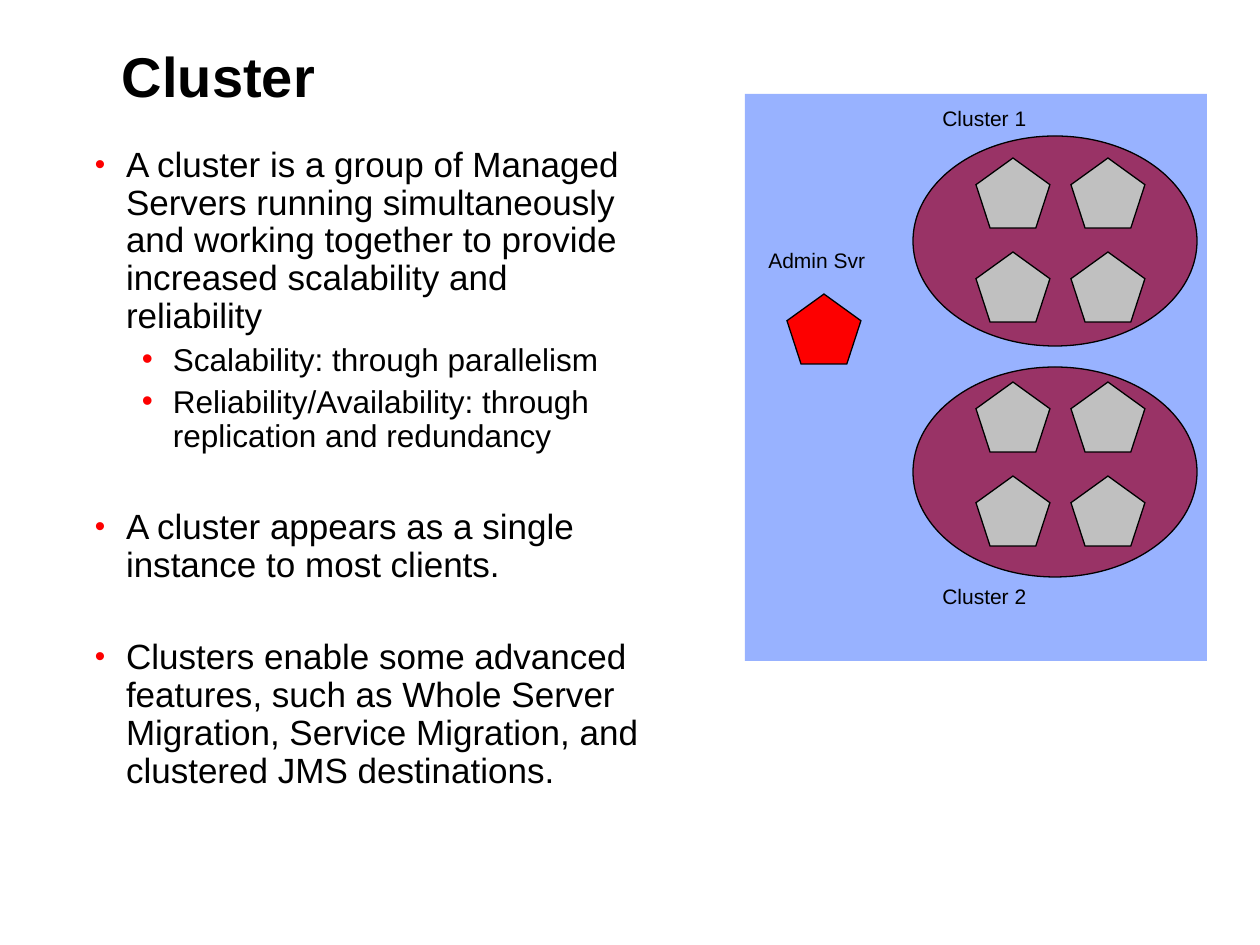
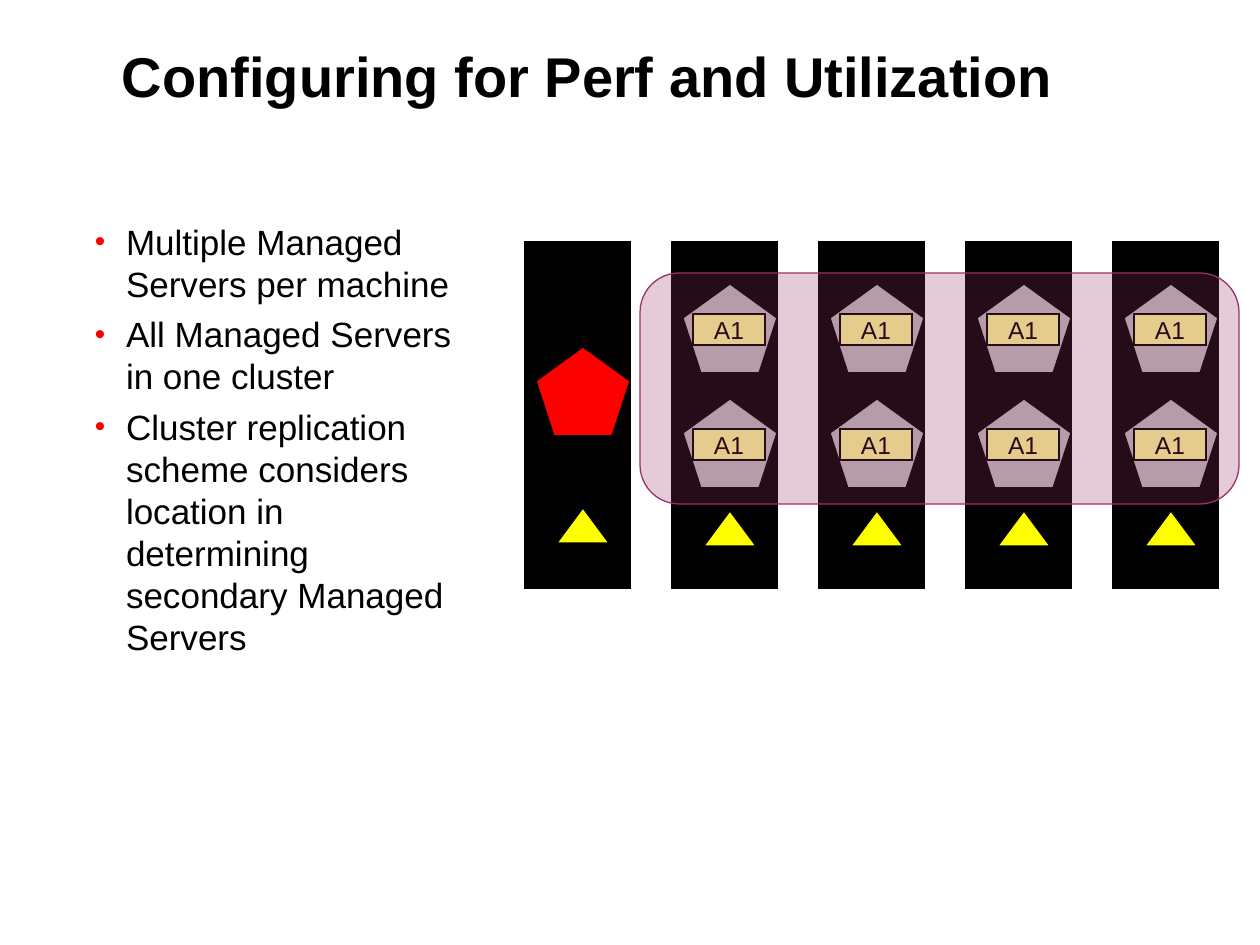
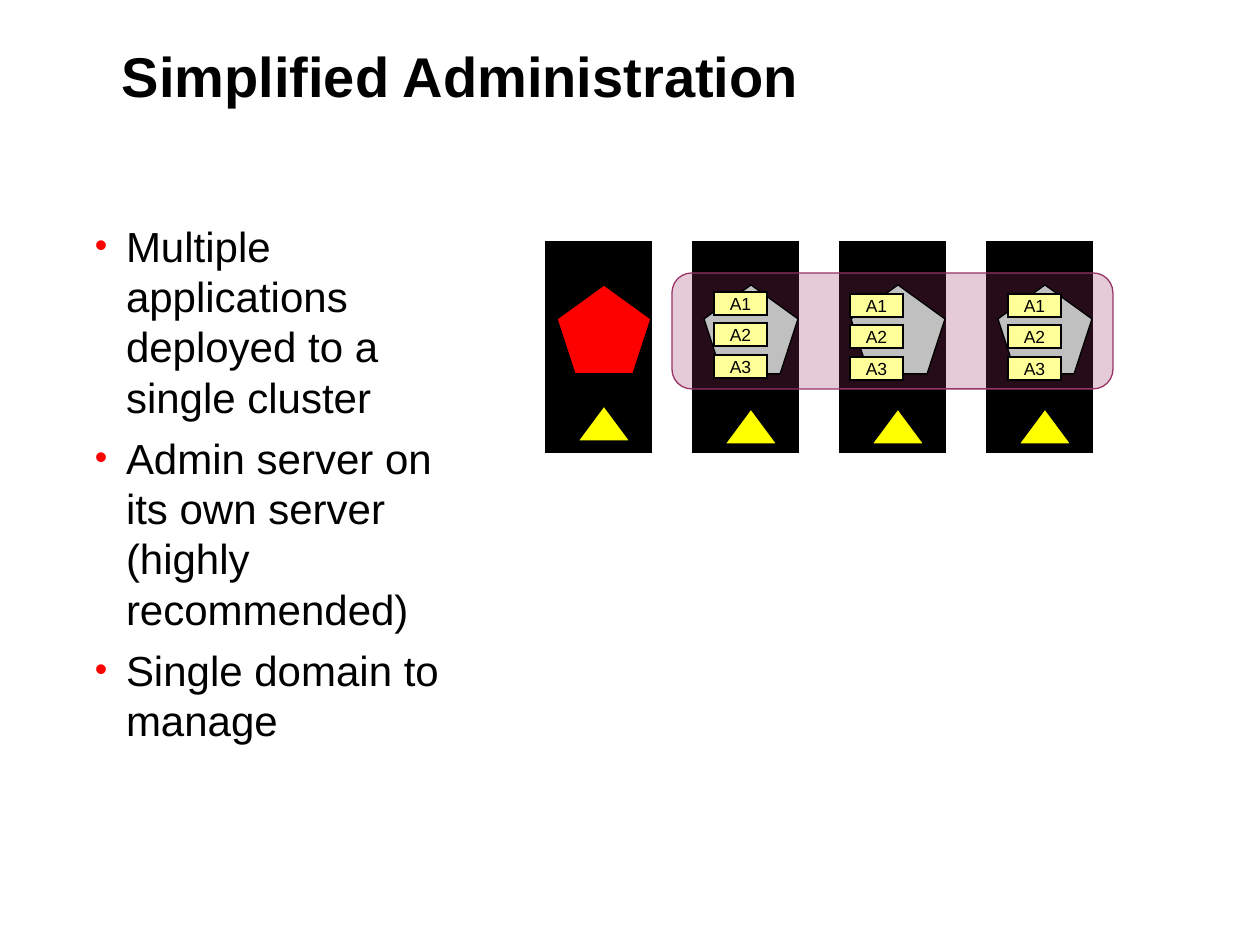
from lxml import etree
from pptx import Presentation
from pptx.dml.color import RGBColor
from pptx.enum.shapes import MSO_SHAPE
from pptx.enum.text import MSO_ANCHOR, MSO_AUTO_SIZE, PP_ALIGN
from pptx.oxml.ns import qn
from pptx.util import Emu, Pt

RECT = MSO_SHAPE.RECTANGLE
ROUND = MSO_SHAPE.ROUNDED_RECTANGLE
OVAL = MSO_SHAPE.OVAL
PENTA = MSO_SHAPE.REGULAR_PENTAGON
WEDGE = MSO_SHAPE.ISOSCELES_TRIANGLE
TOP = MSO_ANCHOR.TOP
MIDDLE = MSO_ANCHOR.MIDDLE
LEFT = PP_ALIGN.LEFT
CENTER = PP_ALIGN.CENTER
NO_FIT = MSO_AUTO_SIZE.NONE

BLACK = RGBColor(0x00, 0x00, 0x00)
RED = RGBColor(0xFD, 0x00, 0x00)
BLUE = RGBColor(0x33, 0x66, 0xFF)
PLUM = RGBColor(0x99, 0x33, 0x66)
GREY = RGBColor(0xC0, 0xC0, 0xC0)
YELLOW = RGBColor(0xFF, 0xFF, 0x00)
CREAM = RGBColor(0xFF, 0xFF, 0x99)

FONT = "Arial"
SCALE = 914400 / 126
PITCH = 147
INDENT = 31
LEVELS = ((31, 85), (78, 100))


def px(n):
    return Emu(round(n * SCALE))


def place(shape, box):
    shape.left, shape.top, shape.width, shape.height = map(px, box)


def write(para, text, size, bold=False):
    run = para.add_run()
    run.text = text
    font = run.font
    font.name = FONT
    font.size = Pt(size)
    font.bold = bold
    font.color.rgb = BLACK


def clear(frame):
    frame.margin_left = frame.margin_top = 0
    frame.margin_right = frame.margin_bottom = 0
    frame.vertical_anchor = TOP
    frame.word_wrap = True
    frame.auto_size = NO_FIT


def fade(shape, percent):
    color = shape.fill._xPr.find(qn("a:solidFill"))[0]
    etree.SubElement(color, qn("a:alpha"), val=str(percent * 1000))


def bullet(para, level):
    margin, percent = LEVELS[level]
    para.level = level
    props = para._p.get_or_add_pPr()
    props.set("marL", str(px(margin)))
    props.set("indent", str(-px(INDENT)))
    color = etree.SubElement(props, qn("a:buClr"))
    etree.SubElement(color, qn("a:srgbClr"), val=str(RED))
    etree.SubElement(props, qn("a:buSzPct"), val=str(percent * 1000))
    etree.SubElement(props, qn("a:buFont"), typeface=FONT)
    etree.SubElement(props, qn("a:buChar"), char="•")


def start(deck, title, box, items, spacing=None):
    slide = deck.slides.add_slide(deck.slide_layouts[1])
    head, body = slide.placeholders
    place(head, (122, 41, 1045, 130))
    clear(head.text_frame)
    para = head.text_frame.paragraphs[0]
    para.alignment = LEFT
    write(para, title, 32, True)

    place(body, box)
    frame = body.text_frame
    clear(frame)
    for i, (text, level, size, gap) in enumerate(items):
        para = frame.add_paragraph() if i else frame.paragraphs[0]
        bullet(para, level)
        para.space_before = Pt(gap)
        if spacing:
            para.line_spacing = spacing
        write(para, text, size)
    return slide


def draw(slide, kind, box, fill, line=BLACK):
    shape = slide.shapes.add_shape(kind, *map(px, box))
    shape.shadow.inherit = False
    shape.fill.solid()
    shape.fill.fore_color.rgb = fill
    if line is None:
        shape.line.fill.background()
    else:
        shape.line.color.rgb = line
        shape.line.width = Pt(0.75)
        stroke = shape.line._get_or_add_ln()
        etree.SubElement(stroke, qn("a:miter"), lim="800000")
    return shape


def label(slide, text, box):
    frame = slide.shapes.add_textbox(*map(px, box)).text_frame
    frame.word_wrap = True
    write(frame.paragraphs[0], text, 12)


def badge(slide, text, box, size):
    frame = draw(slide, RECT, box, CREAM).text_frame
    frame.vertical_anchor = MIDDLE
    para = frame.paragraphs[0]
    para.alignment = CENTER
    write(para, text, size)


def cover(slide, box):
    shape = draw(slide, ROUND, box, PLUM, PLUM)
    shape.adjustments[0] = 0.17
    fade(shape, 25)


def server(slide, x, y, fill=GREY):
    draw(slide, PENTA, (x + 11, y, 94, 89), fill)


def machines(slide, left, count, height, base):
    columns = [left + PITCH * i for i in range(count)]
    for i, x in enumerate(columns):
        draw(slide, RECT, (x, 242, 105, height), BLACK)
        y = base + 3 if i else base
        draw(slide, WEDGE, (x + 32, y, 52, 35), YELLOW)
    return columns


def cluster(slide, top, first):
    draw(slide, OVAL, (913, top, 284, 210), PLUM)
    for row in range(2):
        for col in range(2):
            box = (976 + 95 * col, first + 94 * row, 74, 70)
            draw(slide, PENTA, box, GREY)


def groups(deck):
    slide = start(deck, "Cluster", (95, 147, 546, 672), (
        ("A cluster is a group of Managed Servers running simultaneously "
         "and working together to provide increased scalability and "
         "reliability", 0, 20, 0),
        ("Scalability: through parallelism", 1, 18, 4.5),
        ("Reliability/Availability: through replication and redundancy",
         1, 18, 4.5),
        ("A cluster appears as a single instance to most clients.",
         0, 20, 31.5),
        ("Clusters enable some advanced features, such as Whole Server "
         "Migration, Service Migration, and clustered JMS destinations.",
         0, 20, 31.5),
    ), 0.9)
    fade(draw(slide, RECT, (745, 94, 462, 567), BLUE, None), 50)
    cluster(slide, 136, 158)
    cluster(slide, 367, 382)
    draw(slide, PENTA, (787, 294, 74, 70), RED)
    label(slide, "Cluster 1", (930, 99, 114, 38))
    label(slide, "Cluster 2", (930, 577, 114, 38))
    label(slide, "Admin Svr", (756, 241, 126, 38))


def usage(deck):
    slide = start(
        deck, "Configuring for Perf and Utilization", (95, 220, 359, 599), (
            ("Multiple Managed Servers per machine", 0, 20, 0),
            ("All Managed Servers in one cluster", 0, 20, 5),
            ("Cluster replication scheme considers location in determining "
             "secondary Managed Servers", 0, 20, 5),
        ))
    admin, *managed = machines(slide, 525, 5, 346, 508)
    server(slide, admin, 347, RED)
    for x in managed:
        for y in (284, 399):
            server(slide, x, y)
            badge(slide, "A1", (x + 21, y + 30, 72, 31), 14)
    cover(slide, (640, 273, 599, 231))


def admin(deck):
    slide = start(deck, "Simplified Administration", (95, 220, 378, 599), (
        ("Multiple applications deployed to a single cluster", 0, 24, 0),
        ("Admin server on its own server (highly recommended)", 0, 24, 6),
        ("Single domain to manage", 0, 24, 6),
    ))
    first, *managed = machines(slide, 546, 4, 210, 406)
    cover(slide, (672, 273, 441, 116))
    server(slide, first, 285, RED)
    for x in managed:
        server(slide, x, 285)
    for x, y in ((714, 292), (850, 294), (1008, 294)):
        for i, name in enumerate(("A1", "A2", "A3")):
            badge(slide, name, (x, y + 63 * i // 2, 53, 23), 10)


def main():
    deck = Presentation()
    deck.slide_width = px(1260)
    deck.slide_height = px(945)
    groups(deck)
    usage(deck)
    admin(deck)
    deck.save("out.pptx")


if __name__ == "__main__":
    main()
